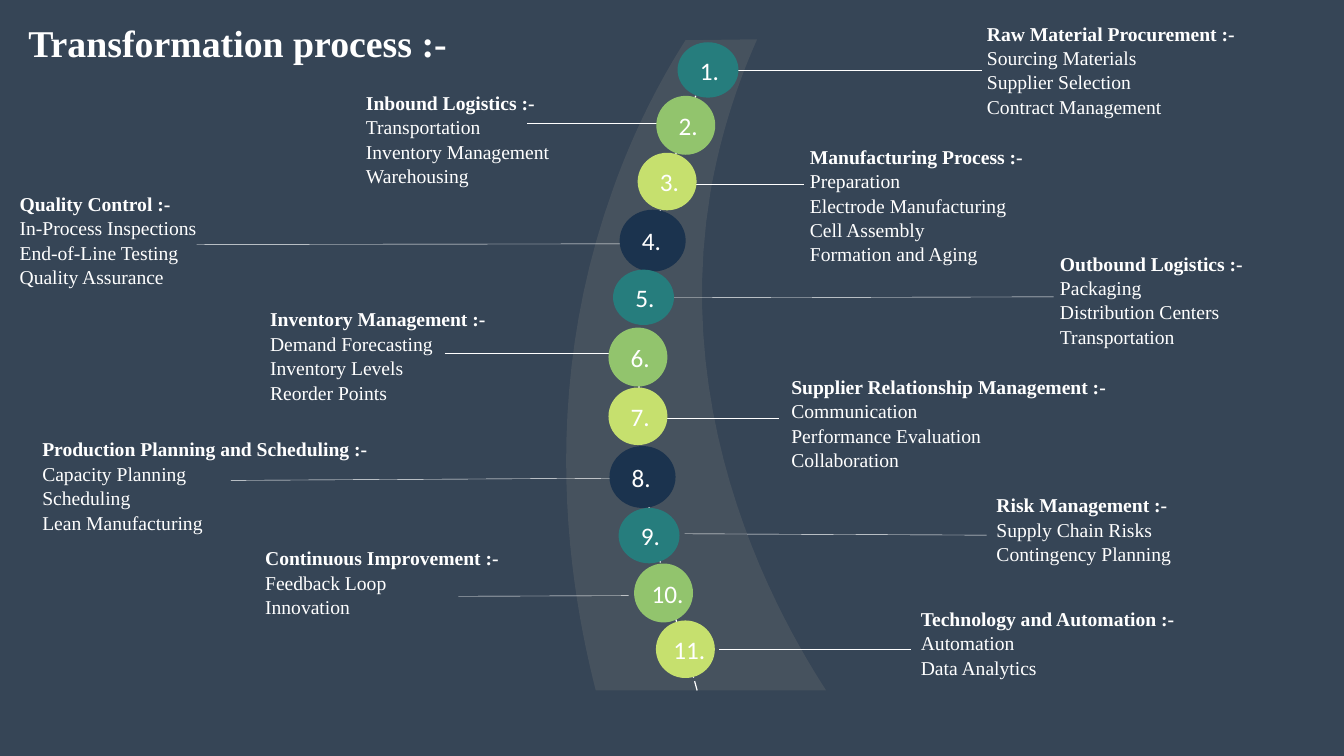
from lxml import etree
from pptx import Presentation
from pptx import util as u
from pptx.dml import color, line
from pptx.enum import dml, shapes, text
from pptx.oxml import ns

WIDE, HIGH = 67.72, 38.1
SERIF, SANS, WHITE = "Times New Roman", "Calibri", "FFFFFF"
DOTS = [("267D7D", 3.07, 2.79), ("92C46D", 2.97, 2.97),
        ("C6E06E", 2.97, 2.9), ("1B334E", 3.33, 3.12)]
EDGE = [
    [(2.97, 32.82), (1.7, 27.86), (0, 18.14), (3.84, 7.54)],
    [(3.84, 7.54), (4.88, 4.62), (6.17, 2.13), (7.49, 0.05)],
    [(11.1, 0), (10.13, 2.18), (9.25, 4.78), (8.74, 7.75)],
    [(8.74, 7.75), (6.76, 19.66), (12.34, 29.36), (14.58, 32.82)],
]
SPINE = [[(8.08, 32.82), (6.81, 27.91), (1.73, 17.27), (8.89, 0.66)]]
STEPS = [
    ((34.14, 2.13), (36.65, 3.53, 49.48, 3.53), (49.48, 0.91, 18.24),
     ["Raw Material Procurement :-", "Sourcing Materials", "Supplier Selection",
      "Contract Management"]),
    ((33.07, 4.83), (26.57, 6.2, 33.12, 6.2), (18.19, 4.39, 11.73),
     ["Inbound Logistics :-", "Transportation", "Inventory Management", "Warehousing"]),
    ((32.13, 7.7), (34.52, 9.27, 40.49, 9.27), (40.56, 7.11, 18.24),
     ["Manufacturing Process :-", "Preparation", "Electrode Manufacturing",
      "Cell Assembly", "Formation and Aging"]),
    ((31.22, 10.57), (9.91, 12.32, 31.27, 12.29), (0.74, 9.5, 18.24),
     ["Quality Control :-", "In-Process Inspections", "End-of-Line Testing",
      "Quality Assurance"]),
    ((30.89, 13.59), (33.12, 15.01, 53.09, 14.96), (53.16, 12.5, 14.56),
     ["Outbound Logistics :-", "Packaging", "Distribution Centers", "Transportation"]),
    ((30.66, 16.51), (22.4, 17.78, 30.71, 17.78), (13.36, 15.32, 18.24),
     ["Inventory Management :-", "Demand Forecasting", "Inventory Levels",
      "Reorder Points"]),
    ((30.66, 19.53), (33.12, 21.06, 39.27, 21.06), (39.62, 18.72, 17.12),
     ["Supplier Relationship Management :-", "Communication",
      "Performance Evaluation", "Collaboration"]),
    ((30.71, 22.48), (11.63, 24.21, 31.14, 24.1), (1.88, 21.87, 17.12),
     ["Production Planning and Scheduling :-", "Capacity Planning", "Scheduling",
      "Lean Manufacturing"]),
    ((31.17, 25.6), (34.49, 26.9, 49.71, 26.97), (49.96, 24.69, 17.12),
     ["Risk Management :-", "Supply Chain Risks", "Contingency Planning"]),
    ((31.95, 28.4), (23.09, 30.05, 31.67, 30.02), (13.11, 27.36, 17.12),
     ["Continuous Improvement :-", "Feedback Loop", "Innovation"]),
    ((33.05, 31.27), (36.25, 32.72, 45.9, 32.72), (46.15, 30.4, 17.12),
     ["Technology and Automation :-", "Automation", "Data Analytics"]),
]


def put(thing, **vals):
    """Set each given attribute on an object."""
    for name, val in vals.items():
        setattr(thing, name, val)


def paint(part, tint):
    """Give a fill a solid colour from a hex string."""
    part.solid()
    part.fore_color.rgb = color.RGBColor.from_string(tint)


def cms(*nums):
    """Turn numbers into centimetre lengths."""
    return [u.Cm(num) for num in nums]


def style(font, size, face, bold=False):
    """Format a white font."""
    put(font, size=u.Pt(size), name=face, bold=bold)
    paint(font.fill, WHITE)


def bend(ends, count=24):
    """Return points along a cubic curve."""
    spots = []
    for step in range(count + 1):
        t = step / count
        mix = (1 - t) ** 3, 3 * t * (1 - t) ** 2, 3 * t * t * (1 - t), t ** 3
        spots.append([sum(m * end[axis] for m, end in zip(mix, ends))
                      for axis in (0, 1)])
    return spots


def trace(slide, box, curves, close):
    """Draw joined curves offset to the corner of a box."""
    left, top = box
    spots = [cms(left + x, top + y) for curve in curves for x, y in bend(curve)]
    pen = slide.shapes.build_freeform(*spots[0])
    pen.add_line_segments(spots[1:], close=close)
    shape = pen.convert_to_shape()
    shape.shadow.inherit = False
    return shape


def road(slide, box):
    """Draw the translucent road and its dashed centre line."""
    lane = trace(slide, box, EDGE, True)
    paint(lane.fill, "797979")
    tint = lane.fill._xPr.find(".//" + ns.qn("a:srgbClr"))
    etree.SubElement(tint, ns.qn("a:alpha"), val="25000")
    lane.line.fill.background()
    spine = trace(slide, box, SPINE, False)
    spine.fill.background()
    paint(spine.line.fill, WHITE)
    put(spine.line, width=u.Pt(1.73), dash_style=dml.MSO_LINE.LONG_DASH)


def link(slide, ends):
    """Draw a thin line from a dot to its note."""
    wire = slide.shapes.add_connector(shapes.MSO_CONNECTOR.STRAIGHT, *cms(*ends))
    paint(wire.line.fill, WHITE)
    wire.line.width = u.Pt(0.57)
    etree.SubElement(wire._element.spPr, ns.qn("a:effectLst"))


def dot(slide, spot, num):
    """Draw a numbered dot."""
    tint, wide, high = DOTS[(num - 1) % len(DOTS)]
    disc = slide.shapes.add_shape(shapes.MSO_SHAPE.OVAL, *cms(*spot, wide, high))
    disc.shadow.inherit = False
    paint(disc.fill, tint)
    disc.line.fill.background()
    start = 1.12 if num < 10 else 0.88
    put(disc.text_frame, word_wrap=True, vertical_anchor=text.MSO_ANCHOR.MIDDLE,
        margin_left=u.Cm(start - 0.146 * wide), margin_right=0,
        margin_top=0, margin_bottom=0)
    para = disc.text_frame.paragraphs[0]
    put(para, text=f"{num}.", alignment=text.PP_ALIGN.LEFT)
    style(para.runs[0].font, 36, SANS)


def note(slide, box, lines):
    """Write a bold heading with its plain lines."""
    high = 1.2 * len(lines) + 0.25
    frame = slide.shapes.add_textbox(*cms(*box, high)).text_frame
    put(frame, word_wrap=True, text="\n".join(lines))
    for row, para in enumerate(frame.paragraphs):
        para.line_spacing = 1.04
        style(para.runs[0].font, 28, SERIF, row == 0)


def head(slide, box):
    """Place and format the slide title."""
    title = slide.shapes.title
    put(title, **dict(zip(("left", "top", "width", "height"), cms(*box))))
    put(title.text_frame, text="Transformation process :-", word_wrap=True,
        auto_size=text.MSO_AUTO_SIZE.NONE, vertical_anchor=text.MSO_ANCHOR.TOP)
    para = title.text_frame.paragraphs[0]
    put(para, alignment=text.PP_ALIGN.LEFT, line_spacing=1.04)
    style(para.runs[0].font, 54, SERIF, True)


def main():
    """Build and save the slide."""
    deck = Presentation()
    put(deck, slide_width=u.Cm(WIDE), slide_height=u.Cm(HIGH))
    slide = deck.slides.add_slide(deck.slide_layouts.get_by_name("Title Only"))
    paint(slide.background.fill, "364556")
    head(slide, (1.17, 0.79, 35.69, 2.57))
    road(slide, (27.05, 1.98))
    for num, (spot, ends, box, lines) in enumerate(STEPS, 1):
        link(slide, ends)
        dot(slide, spot, num)
        note(slide, box, lines)
    deck.save("out.pptx")


if __name__ == "__main__":
    main()
